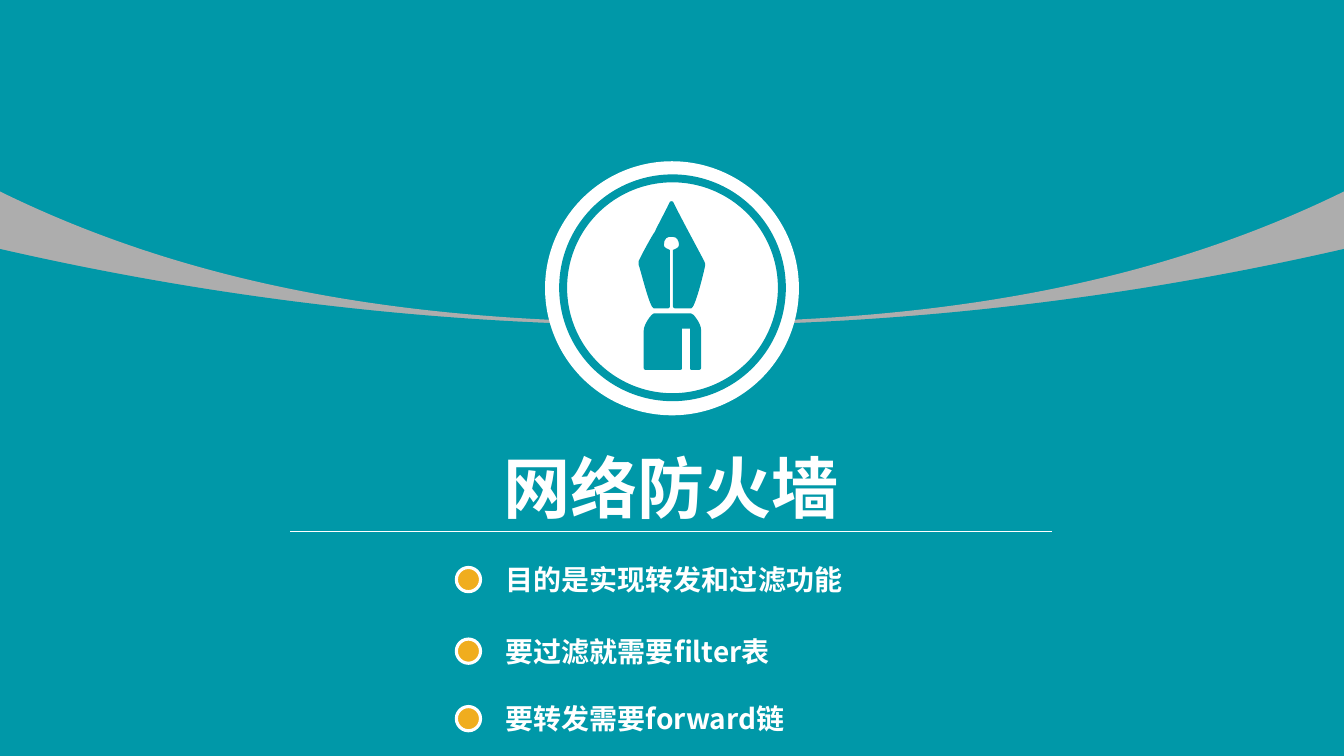
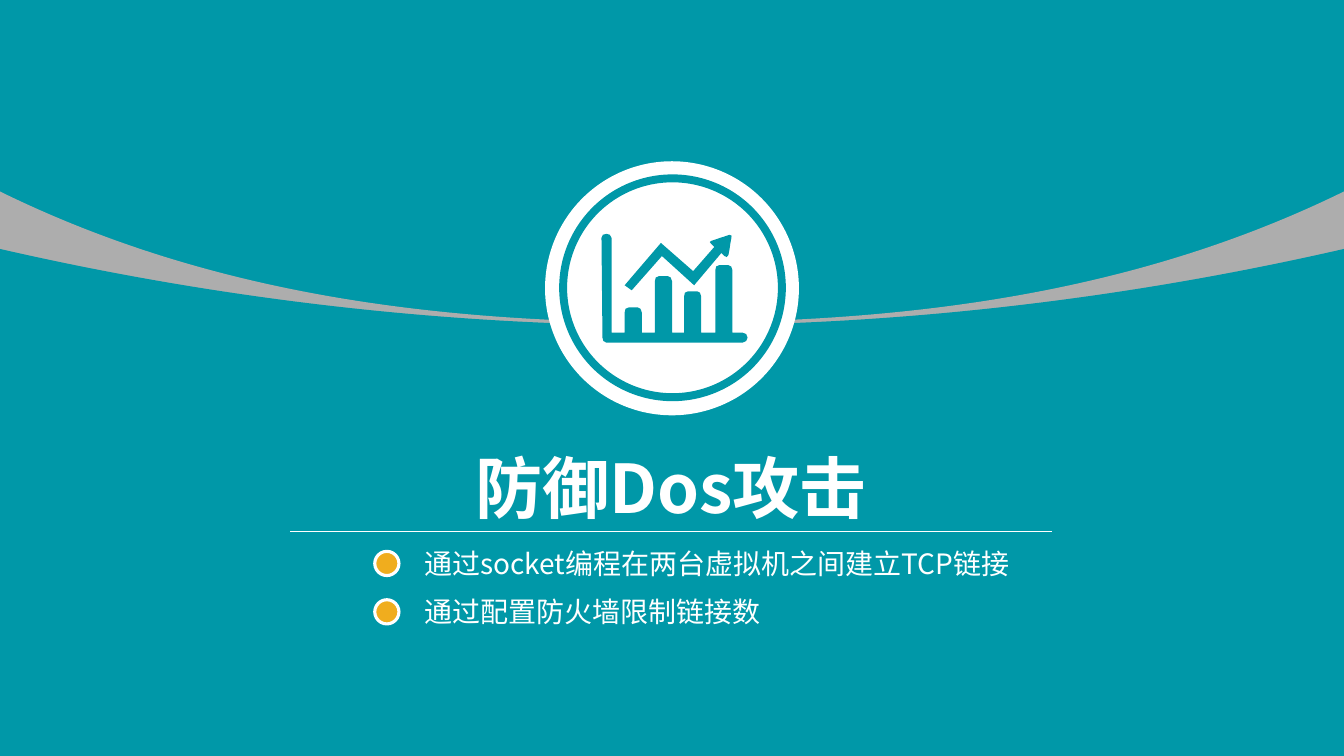
from lxml.etree import Element, SubElement
from pptx import Presentation
from pptx.dml.color import RGBColor
from pptx.enum.shapes import MSO_CONNECTOR as Connector, MSO_SHAPE as Preset
from pptx.enum.text import MSO_ANCHOR as Anchor, MSO_AUTO_SIZE as AutoSize, PP_ALIGN as Align
from pptx.oxml.ns import qn
from pptx.util import Pt

PX = 9144
WIDTH, HEIGHT = 1334, 750
FONT = "Noto Sans CJK SC"
COLORS = {"teal": "0098A8", "gray": "ADADAD", "white": "FFFFFF", "amber": "F0AD1E"}
LINE_POINTS = 24
POINTS_PER_PX = 0.72
POINTS_TAKEN = {"M": 1, "L": 1, "C": 3}

PEN = """
M 0 60 C 0 62 0 63 0 64 C 2 69 11 107 15 107 C 20 107 24 107 29 107
C 30 107 31 106 31 105 C 31 87 31 68 31 49 C 29 48 25 47 25 44
C 25 38 28 35 34 36 C 38 36 40 40 40 44 C 40 47 36 48 34 49
C 34 68 34 86 34 105 C 34 106 35 107 36 107 C 41 107 47 107 52 107
C 56 107 65 70 66 64 C 66 63 66 62 65 60 C 55 41 44 21 34 1
C 33 0 32 1 31 1 C 29 6 18 26 16 31 C 14 33 0 59 0 60
M 5 129 C 5 142 5 154 5 166 C 5 167 5 168 7 168 C 18 168 30 168 41 168
C 43 168 43 167 43 166 C 43 153 43 140 43 127 C 46 127 48 127 51 127
C 51 140 51 154 51 167 C 51 168 52 168 54 168 C 56 168 58 168 60 168
C 61 168 62 167 62 166 C 62 154 62 142 62 129 C 62 125 60 121 58 118
C 55 114 54 112 52 112 C 44 112 19 112 15 112 C 12 113 5 123 5 129
"""

BARS = " ".join(
    f"L {x} 98 L {x} {y + 5} C {x} {y + 2} {x + 1} {y} {x + 4} {y} L {x + 13} {y} "
    f"C {x + 15} {y} {x + 17} {y + 2} {x + 17} {y + 5} L {x + 17} 98"
    for x, y in [(23, 73), (53, 42), (82, 57), (113, 31)]
)
GRAPH = f"""
M 60 22 L 30 56 L 23 51 L 53 16 L 59 9 L 91 37 L 112 13 L 109 10
C 107 9 107 7 109 7 L 115 5 C 116 4 119 4 121 3 L 127 1
C 129 1 130 2 129 4 L 128 9 C 128 11 127 14 127 16 L 126 21
C 125 23 124 24 122 22 L 119 19 L 92 51
M 140 98 C 143 98 145 100 145 103 C 145 105 143 108 140 108 L 5 108
C 2 108 1 105 1 103 L 0 4 C 0 1 2 0 5 0 C 7 0 10 1 10 4 L 10 98 {BARS}
"""


def color(name):
    return RGBColor.from_string(COLORS[name])


def emu(*lengths):
    return [round(length * PX) for length in lengths]


def paint(shape, fill, line=None, weight=0):
    shape.shadow.inherit = False
    shape.fill.solid()
    shape.fill.fore_color.rgb = color(fill)
    if line:
        shape.line.color.rgb = color(line)
        shape.line.width = Pt(weight)
    else:
        shape.line.fill.background()
    return shape


def write(para, text, size=20, bold=False, align=Align.LEFT, before=0):
    para.alignment = align
    para.line_spacing = 1.0
    para.space_before = Pt(before)
    span = para.add_run()
    span.text = text
    font = span.font
    font.name, font.size, font.bold = FONT, Pt(size), bold
    font.color.rgb = color("white")
    SubElement(span._r.get_or_add_rPr(), qn("a:ea"), typeface=FONT)


def place(holder, box, anchor):
    holder.element.getparent().append(holder.element)
    holder.left, holder.top, holder.width, holder.height = emu(*box)
    frame = holder.text_frame
    frame.word_wrap = True
    frame.auto_size = AutoSize.NONE
    frame.vertical_anchor = anchor
    return frame


def read_outline(outline):
    tokens = iter(outline.split())
    for command in tokens:
        count = POINTS_TAKEN[command]
        yield command, [(int(next(tokens)), int(next(tokens))) for _ in range(count)]


def bend(shape, commands):
    edges = iter(list(shape.element.iter(qn("a:lnTo"))))
    for command in commands:
        if command == "L":
            next(edges)
        elif command == "C":
            trio = [next(edges) for _ in range(3)]
            curve = Element(qn("a:cubicBezTo"))
            trio[0].addprevious(curve)
            for edge in trio:
                curve.append(edge[0])
                edge.getparent().remove(edge)


def add_outline(page, left, top, outline, fill):
    contours, commands = [], []
    for command, points in read_outline(outline):
        commands.append(command)
        if command == "M":
            contours.append([])
        contours[-1].extend(emu(left + x, top + y) for x, y in points)
    builder = page.shapes.build_freeform(*contours[0][0], scale=1.0)
    for index, contour in enumerate(contours):
        if index:
            builder.move_to(*contour[0])
        builder.add_line_segments(contour[1:], close=False)
        builder.add_line_segments([], close=True)
    shape = builder.convert_to_shape()
    bend(shape, commands)
    return paint(shape, fill)


def add_backdrop(page, width, height):
    bands = [
        (190, "gray", "C 208 102 431 130 666 130 C 900 130 1126 102"),
        (247, "teal", "C 214 49 437 76 667 76 C 897 76 1120 49"),
    ]
    for top, fill, curve in bands:
        depth = height - top
        edge = f"M {width} 0 L {width} {depth} L 0 {depth} L 0 0 {curve} {width} 0"
        add_outline(page, 0, top, edge, fill)


def add_badge(page, left, top, size, icon, icon_left, icon_top):
    paint(page.shapes.add_shape(Preset.OVAL, *emu(left, top, size, size)), "white")
    ring = page.shapes.add_shape(Preset.DONUT, *emu(left + 14, top + 13, size - 27, size - 27))
    ring.adjustments[0] = 0.035
    paint(ring, "teal")
    add_outline(page, left + icon_left, top + icon_top, icon, "teal")


def add_heading(page, left, top, width, height, text):
    frame = place(page.shapes.title, (left, top, width, height), Anchor.MIDDLE)
    write(frame.paragraphs[0], text, size=48, bold=True, align=Align.CENTER)
    rule_y = top + height - 1
    rule = page.shapes.add_connector(
        Connector.STRAIGHT, *emu(left - 36, rule_y, left + width + 36, rule_y)
    )
    rule.line.color.rgb = color("white")
    rule.line.width = Pt(0.75)
    SubElement(rule.element.spPr, qn("a:effectLst"))


def add_points(page, left, width, tops, texts, bold):
    box = (left, tops[0], width, tops[-1] - tops[0] + 44)
    frame = place(page.placeholders[1], box, Anchor.TOP)
    previous = None
    for top, text in zip(tops, texts):
        first = previous is None
        para = frame.paragraphs[0] if first else frame.add_paragraph()
        gap = 0 if first else (top - previous) * POINTS_PER_PX - LINE_POINTS
        write(para, text, bold=bold, before=gap)
        props = para._p.get_or_add_pPr()
        props.set("marL", "0")
        props.set("indent", "0")
        SubElement(props, qn("a:buNone"))
        marker = page.shapes.add_shape(Preset.OVAL, *emu(left - 39, top + 10, 24, 24))
        paint(marker, "amber", line="white", weight=2.25)
        previous = top


def add_section(deck, title, badge, points):
    page = deck.slides.add_slide(deck.slide_layouts[1])
    add_backdrop(page, WIDTH, HEIGHT)
    add_heading(page, 324, 437, 684, 91, title)
    add_points(page, **points)
    add_badge(page, 541, 160, 252, **badge)


def main():
    deck = Presentation()
    deck.slide_width, deck.slide_height = emu(WIDTH, HEIGHT)
    backdrop = deck.slide_master.background.fill
    backdrop.solid()
    backdrop.fore_color.rgb = color("teal")
    add_section(
        deck,
        "网络防火墙",
        badge={"icon": PEN, "icon_left": 93, "icon_top": 39},
        points={
            "left": 492,
            "width": 481,
            "tops": [553, 624, 691],
            "texts": ["目的是实现转发和过滤功能", "要过滤就需要filter表", "要转发需要forward链"],
            "bold": True,
        },
    )
    add_section(
        deck,
        "防御Dos攻击",
        badge={"icon": GRAPH, "icon_left": 56, "icon_top": 72},
        points={
            "left": 411,
            "width": 647,
            "tops": [537, 585],
            "texts": ["通过socket编程在两台虚拟机之间建立TCP链接", "通过配置防火墙限制链接数"],
            "bold": False,
        },
    )
    deck.save("out.pptx")


if __name__ == "__main__":
    main()
